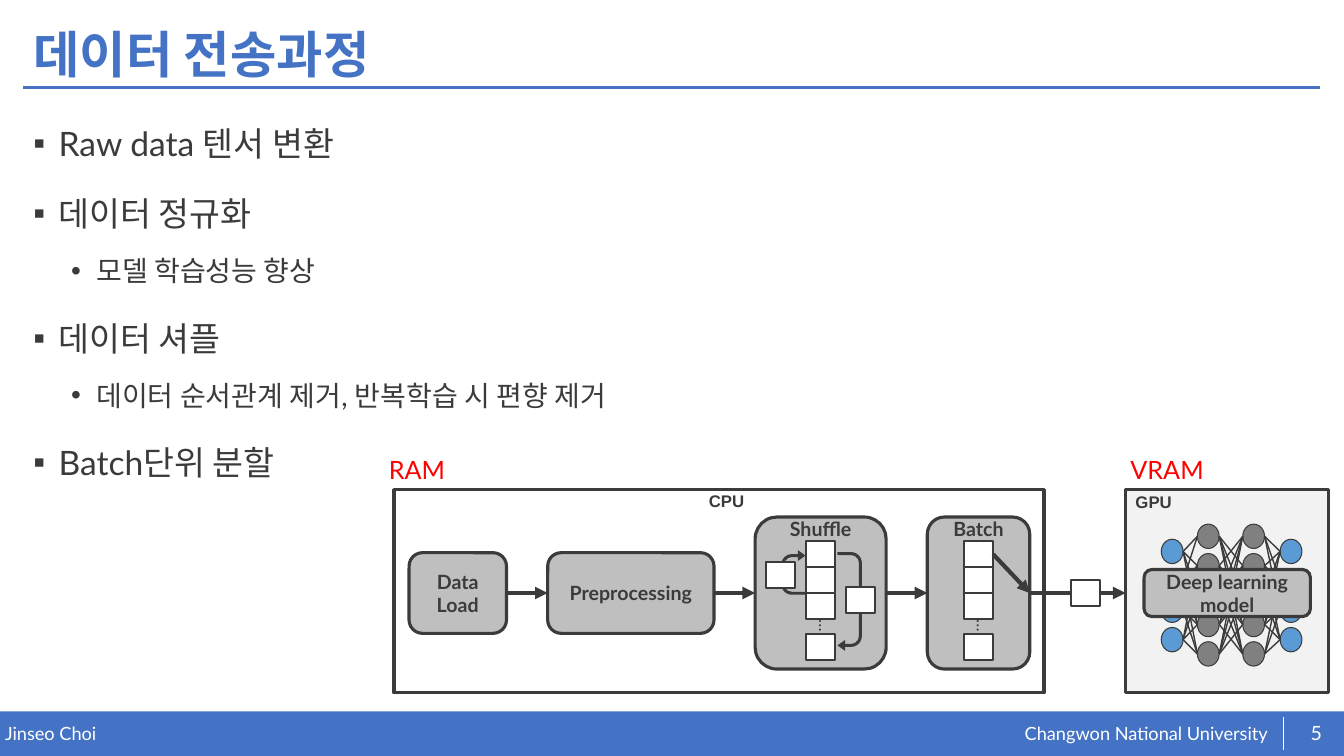
from dataclasses import dataclass
from itertools import accumulate, pairwise, product

from lxml import etree
from pptx import Presentation
from pptx.dml.color import RGBColor
from pptx.enum.shapes import MSO_CONNECTOR, MSO_SHAPE
from pptx.enum.text import MSO_ANCHOR, PP_ALIGN
from pptx.oxml.ns import qn
from pptx.util import Emu, Pt

CELL = 76200  # the slide is a grid of 160 columns and 90 rows of square cells
COLUMNS, ROWS = 160, 90
RECT, ROUNDED = MSO_SHAPE.RECTANGLE, MSO_SHAPE.ROUNDED_RECTANGLE
OVAL, U_TURN = MSO_SHAPE.OVAL, MSO_SHAPE.U_TURN_ARROW
STRAIGHT = MSO_CONNECTOR.STRAIGHT
LEFT, CENTER = PP_ALIGN.LEFT, PP_ALIGN.CENTER
TOP, MIDDLE = MSO_ANCHOR.TOP, MSO_ANCHOR.MIDDLE


@dataclass(frozen=True)
class Theme:
    """Colours, fonts and type sizes of the slide."""
    accent: str = "4472C4"
    ink: str = "3B3B3B"
    white: str = "FFFFFF"
    stage: str = "BFBFBF"
    device: str = "F2F2F2"
    outer_neuron: str = "5B9BD5"
    inner_neuron: str = "808080"
    memory: str = "FF0000"
    font: str = "Lato"
    device_font: str = "Arial"
    title: int = 36
    topic: int = 24
    detail: int = 20
    memory_size: int = 18
    stage_size: int = 14
    footer: int = 13
    small: int = 12


@dataclass(frozen=True)
class Box:
    """A rectangle in grid cells."""
    x: float
    y: float
    w: float
    h: float

    def within(self, x, y, w, h):
        """Return a box placed from this box's top left corner."""
        return Box(self.x + x, self.y + y, w, h)

    def around(self, x, y, w, h):
        """Return a box centred on a point of this box."""
        return self.within(x - w / 2, y - h / 2, w, h)

    @property
    def middle(self):
        return self.y + self.h / 2

    @property
    def right(self):
        return self.x + self.w

    @property
    def emu(self):
        return [Emu(round(v * CELL)) for v in (self.x, self.y, self.w, self.h)]


THEME = Theme()
SQUARE = (3.5, 3.1)
STACK_TOPS = (2.9, 5.95, 9, 13.9)
TOPICS = [
    (0, "Raw data 텐서 변환"),
    (0, "데이터 정규화"),
    (1, "모델 학습성능 향상"),
    (0, "데이터 셔플"),
    (1, "데이터 순서관계 제거, 반복학습 시 편향 제거"),
    (0, "Batch단위 분할"),
]


def write(frame, text, size=THEME.stage_size, color=THEME.ink, font=THEME.font,
          bold=False, align=LEFT, anchor=TOP, spacing=None, inset=None):
    """Fill a text frame, one paragraph for each line of text."""
    frame.word_wrap = True
    frame.vertical_anchor = anchor
    if inset is not None:
        frame.margin_left = frame.margin_right = Pt(inset)
        frame.margin_top = frame.margin_bottom = Pt(inset)
    frame.text = text
    for paragraph in frame.paragraphs:
        paragraph.alignment = align
        paragraph.line_spacing = spacing
        for run in paragraph.runs:
            run.font.size, run.font.bold, run.font.name = Pt(size), bold, font
            run.font.color.rgb = RGBColor.from_string(color)


def label(slide, box, text, rotation=0, **style):
    """Add a text box."""
    added = slide.shapes.add_textbox(*box.emu)
    added.rotation = rotation
    write(added.text_frame, text, **style)


def block(slide, kind, box, fill=None, line=None, text=None):
    """Add a flat preset shape; line is its outline width in points."""
    added = slide.shapes.add_shape(kind, *box.emu)
    added.shadow.inherit = False
    if fill:
        added.fill.solid()
        added.fill.fore_color.rgb = RGBColor.from_string(fill)
    else:
        added.fill.background()
    if line:
        added.line.width = Pt(line)
        added.line.color.rgb = RGBColor.from_string(THEME.ink)
    else:
        added.line.fill.background()
    if text:
        write(added.text_frame, text, bold=True, align=CENTER, anchor=MIDDLE)
    return added


def connect(slide, start, end, width=3, color=THEME.ink, arrow=False):
    """Join two grid points by a line, with an arrowhead if asked."""
    ends = [Emu(round(v * CELL)) for v in (*start, *end)]
    added = slide.shapes.add_connector(STRAIGHT, *ends)
    added.line.width = Pt(width)
    added.line.color.rgb = RGBColor.from_string(color)
    properties = added._element.spPr
    if arrow:
        etree.SubElement(properties.find(qn("a:ln")), qn("a:tailEnd"), type="triangle")
    etree.SubElement(properties, qn("a:effectLst"))


def header(slide, box):
    """Place the title and the rule under it."""
    label(slide, box, "데이터 전송과정", size=THEME.title, color=THEME.accent,
          bold=True, anchor=MIDDLE, spacing=0.9)
    rule = box.y + 8.25
    connect(slide, (box.x, rule), (box.right, rule), 2, THEME.accent)


def topics(slide, box):
    """Place the bulleted list with its two levels."""
    frame = slide.shapes.add_textbox(*box.emu).text_frame
    write(frame, "\n".join(text for _, text in TOPICS), size=THEME.topic, spacing=1.4)
    for paragraph, (level, _) in zip(frame.paragraphs, TOPICS):
        paragraph.level = level
        paragraph.space_before = Pt((10, 5)[level])
        paragraph.runs[0].font.size = Pt((THEME.topic, THEME.detail)[level])
        properties = paragraph._p.get_or_add_pPr()
        properties.set("marL", str(round((3, 7.5)[level] * CELL)))
        properties.set("indent", str(-3 * CELL))
        etree.SubElement(properties, qn("a:buFont"), typeface=THEME.device_font)
        etree.SubElement(properties, qn("a:buChar"), char="▪•"[level])


def stack(slide, box, name):
    """Place a stage's name and its column of data squares."""
    label(slide, box.within(0, -0.6, box.w, 4), name, bold=True, align=CENTER)
    label(slide, box.around(box.w / 2 + 0.6, 12.95, 4.3, 3.6), "…", rotation=90,
          size=THEME.small, align=CENTER, anchor=MIDDLE, inset=0)
    for top in STACK_TOPS:
        block(slide, RECT, box.within((box.w - SQUARE[0]) / 2, top, *SQUARE), THEME.white, 1.5)


def shuffle(slide, box):
    """Place the swap arrows, the stack and the two squares being moved."""
    for x, y, length, rotation in ((11.25, 10.05, 11.75, 90), (4.55, 6.6, 5.3, 270)):
        swap = block(slide, U_TURN, box.around(x, y, length, 2.9), THEME.ink)
        swap.rotation = rotation
        for index, value in enumerate((0.12, 0.22, 0.31, 0.44, 1)):
            swap.adjustments[index] = value
    stack(slide, box, "Shuffle")
    for x, y in ((10.8, 8.3), (1.3, 5.4)):
        block(slide, RECT, box.within(x, y, *SQUARE), THEME.white, 1.5)


def cpu(slide, box):
    """Place the CPU pipeline and return the box of its last stage."""
    block(slide, RECT, box, line=2.25)
    label(slide, box.within(-1.8, -4.8, 10.4, 4.8), "RAM", size=THEME.memory_size,
          color=THEME.memory)
    label(slide, box.within(36.3, -0.5, 16.4, 3.6), "CPU", size=THEME.small,
          font=THEME.device_font, bold=True)
    gap, widths, heights = 4.9, (11.6, 19.8, 15.6, 12.2), (9.6, 9.6, 18.1, 18.1)
    lefts = accumulate((w + gap for w in widths[:-1]), initial=1.8)
    stages = [box.within(x, 12.3 - h / 2, w, h) for x, w, h in zip(lefts, widths, heights)]
    for stage, text in zip(stages, ("Data\nLoad", "Preprocessing", None, None)):
        block(slide, ROUNDED, stage, THEME.stage, 2.25, text)
    for before, after in pairwise(stages):
        connect(slide, (before.right, before.middle), (after.x, after.middle), arrow=True)
    shuffle(slide, stages[2])
    batch = stages[3]
    stack(slide, batch, "Batch")
    first = (batch.x + (batch.w + SQUARE[0]) / 2, batch.y + STACK_TOPS[0] + SQUARE[1] / 2)
    connect(slide, first, (batch.right, batch.middle), arrow=True)
    return batch


def gpu(slide, box):
    """Place the GPU with its network behind the model's name."""
    block(slide, RECT, box, THEME.device, 2.25)
    step, radius = 3.5, 1.3
    outer = [box.y + 7.35 + step * row for row in range(4)]
    inner = [box.y + 5.55 + step * row for row in range(5)]
    xs = [box.x + x for x in (5.55, 9.85, 15.25, 19.7)]
    layers = list(zip(xs, (outer, inner, inner, outer)))
    for x, rows in layers:
        color = THEME.outer_neuron if rows is outer else THEME.inner_neuron
        for row, y in enumerate(rows):
            if rows is outer or row != 2:
                block(slide, OVAL, Box(x - radius, y - 1.45, 2 * radius, 2.9), color, 0.75)
    unlinked = ({(0, 4), (1, 2), (2, 0), (2, 2), (3, 0)},
                {(row, row) for row in range(5)},
                {(0, 3), (2, 1), (2, 2), (4, 0)})
    for ((x1, rows1), (x2, rows2)), skipped in zip(pairwise(layers), unlinked):
        for a, b in product(range(len(rows1)), range(len(rows2))):
            if (a, b) not in skipped:
                connect(slide, (x1 + radius, rows1[a]), (x2 - radius, rows2[b]), 1)
    block(slide, ROUNDED, box.around(box.w / 2, 12.3, 19.8, 5.6), THEME.stage, 2.25,
          "Deep learning\nmodel")
    label(slide, box.within(0, -0.4, 16.4, 3.6), "GPU", size=THEME.small,
          font=THEME.device_font, bold=True)
    label(slide, box.within(-0.6, -4.8, 13, 4.8), "VRAM", size=THEME.memory_size,
          color=THEME.memory)


def transfer(slide, batch, device):
    """Place the arrow and the data square between the two devices."""
    connect(slide, (batch.right, batch.middle), (device.x, batch.middle), arrow=True)
    middle = (device.x - batch.right) / 2
    block(slide, RECT, batch.around(batch.w + middle + 0.9, batch.h / 2, *SQUARE), THEME.white, 1.5)


def footer(slide, box):
    """Place the footer band with author, university and page number."""
    block(slide, RECT, box, THEME.accent)
    style = dict(color=THEME.white, anchor=MIDDLE, inset=0)
    label(slide, box.within(0.6, 1.3, 78.6, 2.7), "Jinseo Choi", size=THEME.footer, **style)
    label(slide, box.within(122, 1.2, 30.5, 2.7), "Changwon National University",
          size=THEME.footer, **style)
    divider = box.x + 152.8
    connect(slide, (divider, box.y + 0.6), (divider, box.y + 4.6), 0.5, THEME.white)
    label(slide, box.within(153.8, 0.1, 5.8, 4.8), "5", align=CENTER, **style)


deck = Presentation()
deck.slide_width, deck.slide_height = Emu(COLUMNS * CELL), Emu(ROWS * CELL)
page = deck.slides.add_slide(deck.slide_layouts[6])
footer(page, Box(0, 84.7, COLUMNS, ROWS - 84.7))
header(page, Box(2.8, 2.2, 154.3, 9.2))
topics(page, Box(2.8, 12.1, 154.3, 67.6))
gpu_box = Box(134, 58.3, 24.2, 24.2)
batch_box = cpu(page, Box(46.9, 58.3, 77.4, 24.2))
gpu(page, gpu_box)
transfer(page, batch_box, gpu_box)
deck.save("out.pptx")
